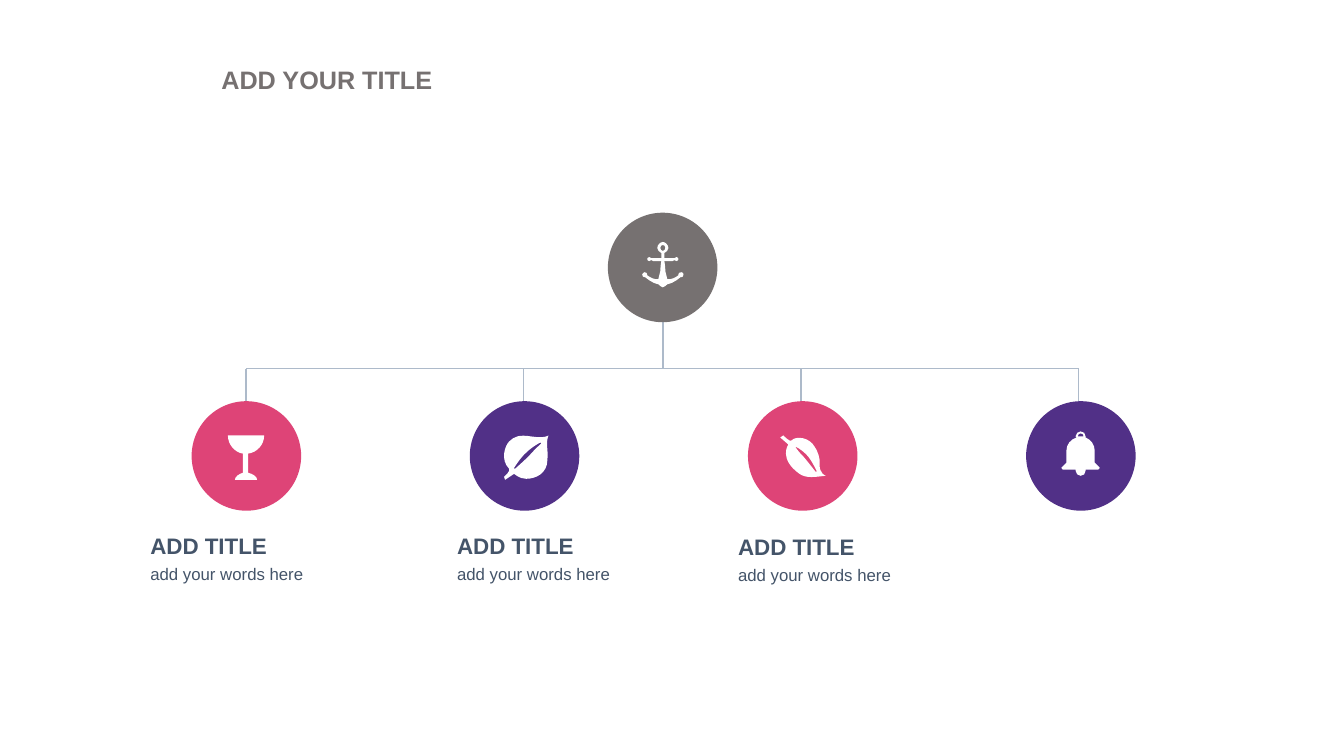
import pptx
import pptx.util
import pptx.dml.color
import pptx.enum.shapes
import pptx.enum.text
import pptx.oxml.ns
import lxml.etree

Cm = pptx.util.Cm
RGB = pptx.dml.color.RGBColor
qn = pptx.oxml.ns.qn

WHITE = RGB(0xFF, 0xFF, 0xFF)
GRAY = RGB(0x76, 0x71, 0x71)
PINK = RGB(0xDE, 0x44, 0x77)
PURPLE = RGB(0x51, 0x30, 0x87)
SLATE = RGB(0x44, 0x54, 0x69)
STEEL = RGB(0xAD, 0xBA, 0xCA)

DISC = 2.76
GRID = Cm(2.54) / 100  # icon grid step; a disc is 109 steps wide

# An outline holds points (x, y) and curves (x1, y1, x2, y2, x, y).
GOBLET = [
    [(72, 34), (36, 34), (36, 43, 43, 51, 51, 52), (51, 71),
     (47, 72, 43, 75, 43, 78), (65, 78), (65, 75, 61, 72, 56, 71),
     (56, 52), (65, 51, 72, 43, 72, 34)],
]
BELL = [
    [(68, 61), (68, 49), (68, 43, 64, 38, 59, 36), (59, 35),
     (59, 32, 57, 30, 54, 30), (52, 30, 49, 32, 49, 35), (50, 36),
     (44, 38, 40, 43, 40, 49), (40, 61), (35, 66),
     (35, 67, 36, 68, 37, 68), (49, 68), (49, 69),
     (49, 72, 52, 74, 54, 74), (57, 74, 59, 72, 59, 69), (59, 68),
     (71, 68), (72, 68, 73, 67, 73, 66)],
    [(51, 35), (51, 33, 53, 32, 54, 32), (56, 32, 57, 33, 57, 35)],
]
WIDE_LEAF = [
    [(78, 34), (78, 34, 75, 37, 61, 35), (49, 33, 44, 35, 39, 40),
     (35, 44, 30, 58, 39, 67), (41, 69, 34, 75, 34, 75), (35, 78),
     (44, 72), (44, 72, 49, 77, 56, 77), (65, 77, 77, 72, 77, 58),
     (78, 48, 75, 42, 78, 34)],
    [(71, 42), (71, 42, 66, 46, 59, 54), (53, 60, 45, 67, 45, 67),
     (44, 67), (44, 66), (44, 66, 51, 55, 56, 51),
     (62, 45, 70, 41, 70, 41)],
]
SLIM_LEAF = [
    [(71, 63), (72, 57, 69, 49, 66, 45), (61, 36, 48, 34, 43, 39),
     (42, 41, 35, 34, 35, 34), (32, 36), (40, 43),
     (40, 43, 30, 57, 51, 72), (58, 77, 67, 75, 77, 74),
     (77, 74, 71, 72, 71, 63)],
    [(68, 70), (67, 70), (67, 70, 61, 62, 55, 55),
     (48, 48, 47, 45, 47, 45), (47, 45, 52, 47, 58, 53),
     (63, 58, 68, 69, 68, 69)],
]
ANCHOR_HALF = [
    (54.5, 74), (55.5, 74, 58, 72, 59, 71), (63, 70, 65, 69, 68, 67),
    (69, 66, 71, 65, 72, 64), (73, 64), (74, 64, 75, 63, 75, 61),
    (75, 60, 74, 59, 73, 59), (71, 59, 70, 60, 70, 61), (70, 62),
    (69, 63, 67, 64, 65, 65), (63, 66, 61, 66, 59, 66), (57, 58),
    (57, 58, 57, 53, 56, 48), (64, 48), (66, 47),
    (67, 48, 67, 48, 68, 48), (69, 48, 70, 47, 70, 46),
    (70, 45, 69, 44, 68, 44), (67, 44, 67, 44, 66, 45), (56, 45),
    (56, 40), (58, 39, 60, 37, 60, 35), (60, 32, 57, 29, 54.5, 29),
]
ANCHOR_EYE = [
    (52, 35), (52, 33, 53, 32, 54.5, 32), (56, 32, 57, 33, 57, 35),
    (57, 36, 56, 38, 54.5, 38), (53, 38, 52, 36, 52, 35),
]


def pairs(part):
    return list(zip(part[::2], part[1::2]))


def mirror(half):
    """Close a right half with its reflection in the disc's axis."""
    whole = list(half)
    for prev, part in reversed(list(zip(half, half[1:]))):
        back = pairs(part)[-2::-1] + [prev[-2:]]
        whole.append(tuple(n for x, y in back for n in (109 - x, y)))
    return whole


def add_line(slide, x1, y1, x2, y2):
    line = slide.shapes.add_connector(
        pptx.enum.shapes.MSO_CONNECTOR.STRAIGHT, Cm(x1), Cm(y1), Cm(x2), Cm(y2))
    line.line.color.rgb = STEEL
    line.line.width = pptx.util.Pt(1)
    lxml.etree.SubElement(line._element.spPr, qn("a:effectLst"))


def paint(shape, color):
    shape.shadow.inherit = False
    shape.fill.solid()
    shape.fill.fore_color.rgb = color
    shape.line.fill.background()


def add_disc(slide, left, top, color):
    disc = slide.shapes.add_shape(
        pptx.enum.shapes.MSO_SHAPE.OVAL, Cm(left), Cm(top), Cm(DISC), Cm(DISC))
    paint(disc, color)


def bend(shape, parts):
    """Turn the straight segments that stand for curves into curves."""
    lines = list(shape._element.iter(qn("a:lnTo")))
    for line, part in zip(lines, parts):
        if len(part) == 2:
            continue
        line.tag = qn("a:cubicBezTo")
        for i, (x, y) in enumerate(pairs(part)[:2]):
            spot = line.makeelement(qn("a:pt"), {
                "x": str(round(x - shape.left)), "y": str(round(y - shape.top))})
            line.insert(i, spot)


def add_icon(slide, left, top, outlines):
    """Draw outlines placed on the grid of the disc at left, top."""
    pen, parts = None, []
    for outline in outlines:
        placed = [tuple(n for x, y in pairs(part)
                        for n in (Cm(left) + x * GRID, Cm(top) + y * GRID))
                  for part in outline]
        if pen is None:
            pen = slide.shapes.build_freeform(*placed[0])
        else:
            pen.move_to(*placed[0])
        pen.add_line_segments([part[-2:] for part in placed[1:]], close=True)
        parts += placed[1:]
    icon = pen.convert_to_shape()
    bend(icon, parts)
    paint(icon, WHITE)


def add_text(slide, text, left, top, width, height, size, color, bold=False):
    box = slide.shapes.add_textbox(Cm(left), Cm(top), Cm(width), Cm(height))
    frame = box.text_frame
    frame.text = text
    frame.auto_size = pptx.enum.text.MSO_AUTO_SIZE.SHAPE_TO_FIT_TEXT
    font = frame.paragraphs[0].runs[0].font
    font.name = "Arial"
    font.size = pptx.util.Pt(size)
    font.bold = bold
    font.color.rgb = color
    return frame


def add_label(slide, text, left, top, width, height, size, bold):
    frame = add_text(slide, text, left, top, width, height, size, SLATE, bold)
    frame.word_wrap = True
    frame.margin_left = frame.margin_right = 0
    frame.margin_top = frame.margin_bottom = 0


def main():
    deck = pptx.Presentation()
    deck.slide_width, deck.slide_height = Cm(33.87), Cm(19.05)
    slide = deck.slides.add_slide(deck.slide_layouts[6])

    first, last, bar = 6.2, 27.18, 9.29
    for i in range(4):
        x = first + i * (last - first) / 3
        add_line(slide, x, 10.59, x, bar)
    add_line(slide, first, bar, last, bar)
    add_line(slide, 16.71, bar, 16.71, 7.98)

    nodes = [(15.32, 5.36, GRAY, [mirror(ANCHOR_HALF), ANCHOR_EYE])]
    leaves = [(PINK, GOBLET), (PURPLE, WIDE_LEAF),
              (PINK, SLIM_LEAF), (PURPLE, BELL)]
    for i, (color, icon) in enumerate(leaves):
        nodes.append((4.83 + 7.01 * i, 10.11, color, icon))
    for left, top, color, icon in nodes:
        add_disc(slide, left, top, color)
    for left, top, color, icon in nodes:
        add_icon(slide, left, top, icon)

    for left, top in [(3.79, 13.4), (11.52, 13.4), (18.6, 13.43)]:
        add_label(slide, "ADD TITLE", left, top, 5.44, 0.69, 16, True)
        add_label(slide, "add your words here", left, top + 0.8, 6.48, 0.51, 12, False)
    title = add_text(slide, "ADD YOUR TITLE", 5.33, 1.5, 5.89, 1.02, 18, GRAY, True)
    title.word_wrap = False

    deck.save("out.pptx")


if __name__ == "__main__":
    main()
